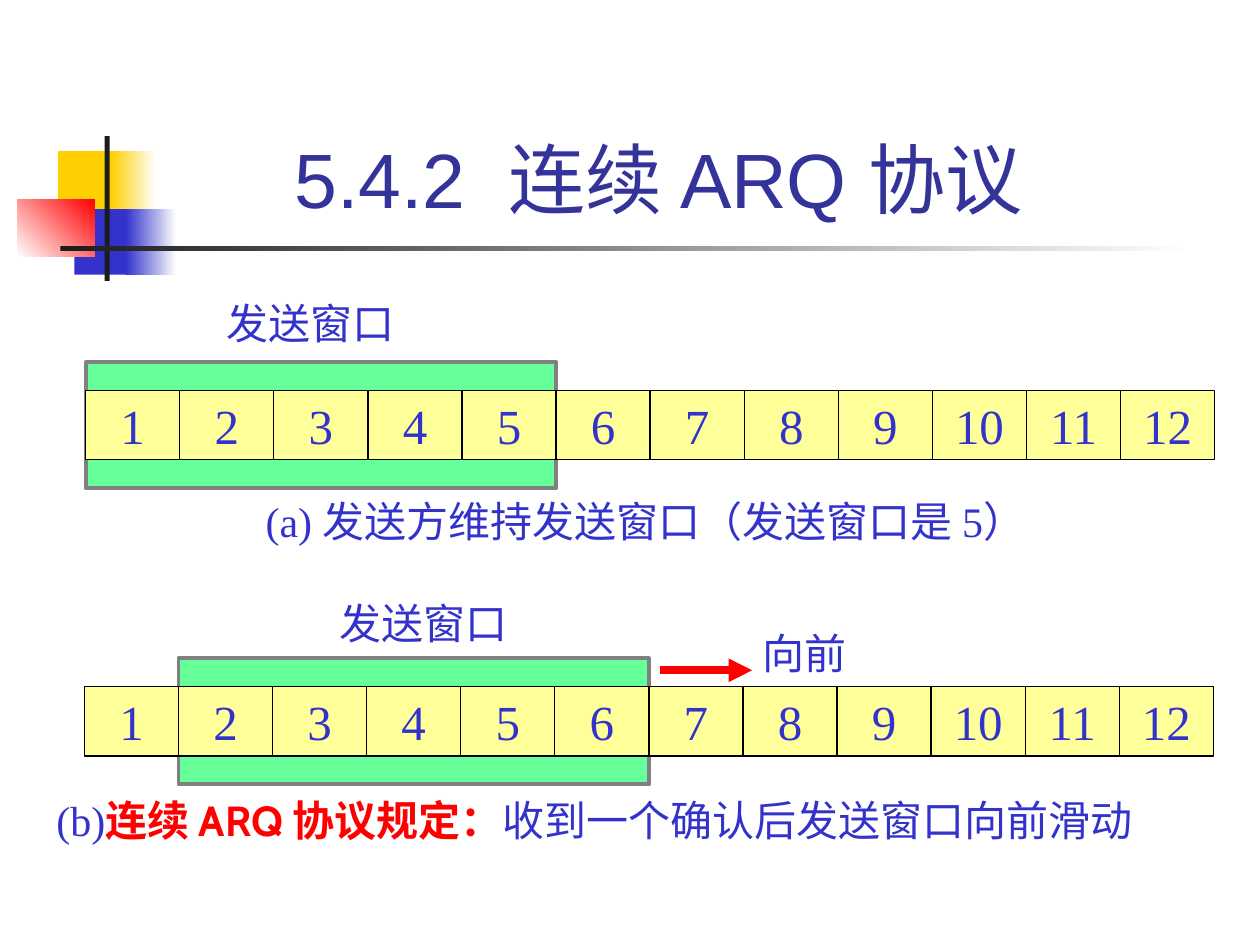
from pptx import Presentation
from pptx.dml.color import RGBColor
from pptx.enum.shapes import MSO_CONNECTOR, MSO_SHAPE
from pptx.enum.text import MSO_ANCHOR, MSO_AUTO_SIZE, PP_ALIGN
from pptx.oxml.ns import qn
from pptx.util import Inches, Pt
from lxml.etree import SubElement

SERIF = "Times New Roman"
BLUE, RED, BLACK, WHITE = "3333CC", "FF0000", "000000", "FFFFFF"
YELLOW, DARK = "FFCF01", "1C1C1C"

TITLE = "5.4.2  连续 ARQ 协议 "
DECORATIONS = [
    ((0.46, 1.2, 0.48, 0.52), [YELLOW], 0),
    ((0.88, 1.2, 0.36, 0.52), [YELLOW, WHITE], 0),
    ((0.59, 1.66, 0.46, 0.52), [BLUE], 0),
    ((1, 1.66, 0.4, 0.52), [BLUE, WHITE], 0),
    ((0.14, 1.58, 0.61, 0.46), [WHITE, RED], 45),
    ((0.83, 1.08, 0.04, 1.15), [DARK], 0),
    ((0.48, 1.95, 9, 0.04), [DARK, WHITE], 0),
]
FRAME_COUNT, WINDOW_SIZE = 12, 5
CELL_WIDTH, CELL_HEIGHT = 8.96 / FRAME_COUNT, 0.55
WINDOW_HEIGHT = 1
SEQUENCES = [
    {"left": 0.68, "top": 3.1, "window_start": 0},
    {"left": 0.67, "top": 5.45, "window_start": 1},
]
LABELS = [
    ((1.7, 2.31, 1.56, 0.5), [("发送窗口", SERIF, BLUE, False)]),
    ((2.01, 3.88, 6.56, 0.5),
     [("(a) 发送方维持发送窗口（发送窗口是 5）", SERIF, BLUE, False)]),
    ((2.6, 4.69, 1.56, 0.5), [("发送窗口", SERIF, BLUE, False)]),
    ((5.95, 4.93, 0.95, 0.5), [("向前", SERIF, BLUE, False)]),
    ((0.35, 6.26, 9.04, 0.5), [
        ("(b)", SERIF, BLUE, False),
        ("连续 ARQ 协议规定：", "Cabin", RED, True),
        ("收到一个确认后发送窗口向前滑动", SERIF, BLUE, False),
    ]),
]


def color(value):
    return RGBColor.from_string(value)


def style_font(font, size, name, value, bold=False):
    font.size, font.name, font.bold = Pt(size), name, bold
    font.color.rgb = color(value)


def add_rectangle(slide, box, fills, angle=0, line=None, width=0):
    shape = slide.shapes.add_shape(MSO_SHAPE.RECTANGLE, *map(Inches, box))
    shape.shadow.inherit = False
    if len(fills) == 1:
        shape.fill.solid()
        shape.fill.fore_color.rgb = color(fills[0])
    else:
        shape.fill.gradient()
        shape.fill.gradient_angle = angle
        for stop, value in zip(shape.fill.gradient_stops, fills):
            stop.color.rgb = color(value)
    if line:
        shape.line.color.rgb = color(line)
        shape.line.width = Pt(width)
    else:
        shape.line.fill.background()


def add_line(slide, start, end, value, width, arrow=False):
    line = slide.shapes.add_connector(
        MSO_CONNECTOR.STRAIGHT, *map(Inches, start + end))
    line.line.color.rgb = color(value)
    line.line.width = Pt(width)
    if arrow:
        SubElement(line.line._get_or_add_ln(), qn("a:tailEnd"), type="triangle")
    SubElement(line._element.spPr, qn("a:effectLst"))


def add_text(slide, box, runs, size, centred=False):
    frame = slide.shapes.add_textbox(*map(Inches, box)).text_frame
    frame.word_wrap = False
    paragraph = frame.paragraphs[0]
    if centred:
        frame.vertical_anchor = MSO_ANCHOR.MIDDLE
        paragraph.alignment = PP_ALIGN.CENTER
    else:
        frame.auto_size = MSO_AUTO_SIZE.NONE
        paragraph.alignment = PP_ALIGN.LEFT
    for text, name, value, bold in runs:
        run = paragraph.add_run()
        run.text = text
        style_font(run.font, size, name, value, bold)


def add_sequence(slide, left, top, window_start):
    margin = (WINDOW_HEIGHT - CELL_HEIGHT) / 2
    add_rectangle(slide, (left + window_start * CELL_WIDTH, top - margin,
                          WINDOW_SIZE * CELL_WIDTH, WINDOW_HEIGHT),
                  ["66FF99"], line="808080", width=2.25)
    add_rectangle(slide, (left, top, FRAME_COUNT * CELL_WIDTH, CELL_HEIGHT),
                  ["FFFF99"], line=BLACK, width=0.75)
    for index in range(FRAME_COUNT):
        x = left + index * CELL_WIDTH
        add_text(slide, (x, top, CELL_WIDTH, CELL_HEIGHT),
                 [(str(index + 1), SERIF, BLUE, False)], 28, centred=True)
        if index:
            add_line(slide, (x, top), (x, top + CELL_HEIGHT), BLACK, 0.75)


def add_title(slide):
    title = slide.shapes.title
    title.left, title.top, title.width, title.height = map(
        Inches, (1.26, 0.23, 8.07, 1.6))
    frame = title.text_frame
    frame.text = TITLE
    frame.auto_size = MSO_AUTO_SIZE.NONE
    frame.vertical_anchor = MSO_ANCHOR.BOTTOM
    paragraph = frame.paragraphs[0]
    paragraph.alignment = PP_ALIGN.CENTER
    style_font(paragraph.font, 44, "Arial", "333399")


def main():
    presentation = Presentation()
    presentation.slide_width, presentation.slide_height = Inches(10), Inches(7.5)
    slide = presentation.slides.add_slide(presentation.slide_layouts[5])
    for box, fills, angle in DECORATIONS:
        add_rectangle(slide, box, fills, angle)
    add_title(slide)
    for sequence in SEQUENCES:
        add_sequence(slide, **sequence)
    for box, runs in LABELS:
        add_text(slide, box, runs, 24)
    add_line(slide, (5.24, 5.32), (5.97, 5.32), RED, 4.5, arrow=True)
    presentation.save("out.pptx")


if __name__ == "__main__":
    main()
